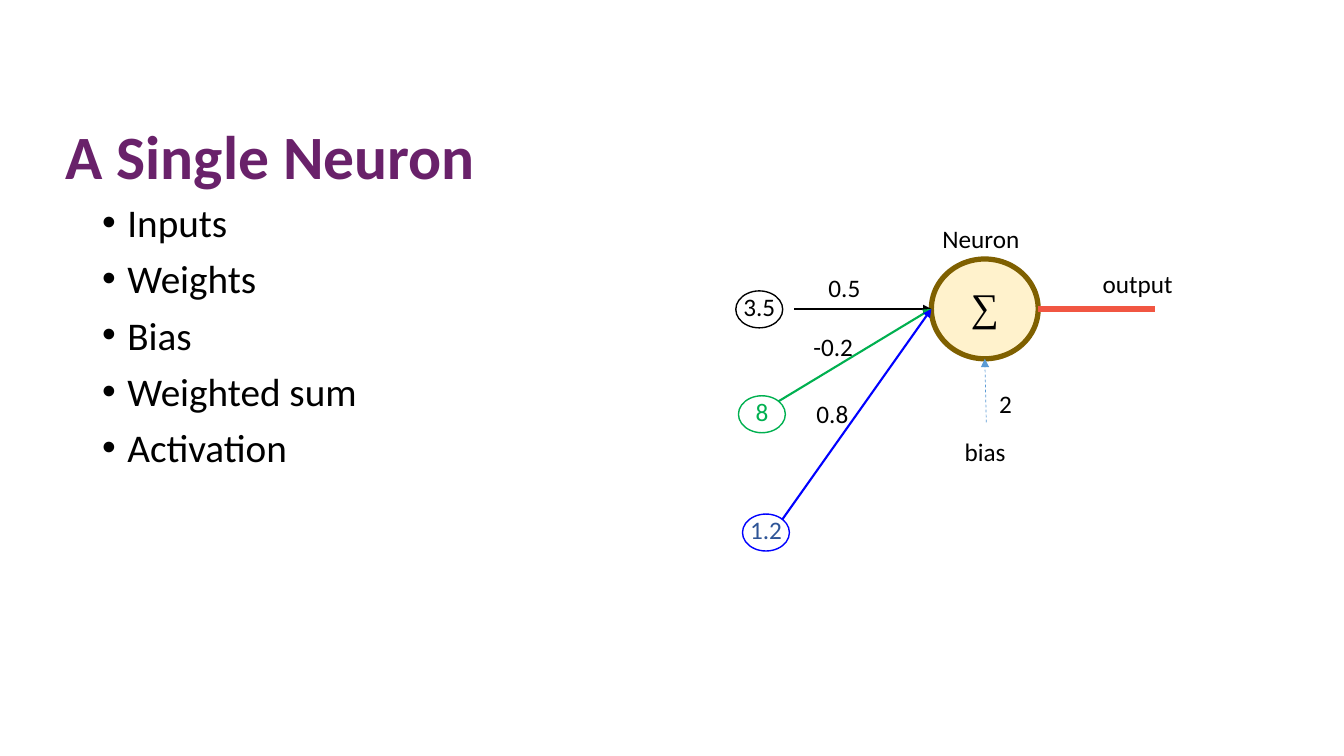
from typing import NamedTuple

from lxml import etree
from pptx import Presentation
from pptx.dml.color import RGBColor
from pptx.enum.dml import MSO_LINE
from pptx.enum.shapes import MSO_CONNECTOR, MSO_SHAPE
from pptx.enum.text import MSO_ANCHOR, MSO_AUTO_SIZE, PP_ALIGN
from pptx.oxml.ns import qn
from pptx.util import Pt

OVAL = MSO_SHAPE.OVAL
STRAIGHT = MSO_CONNECTOR.STRAIGHT
DASH = MSO_LINE.DASH
MIDDLE, TOP = MSO_ANCHOR.MIDDLE, MSO_ANCHOR.TOP
NO_FIT = MSO_AUTO_SIZE.NONE
LEFT, CENTER = PP_ALIGN.LEFT, PP_ALIGN.CENTER

BODY_FONT, SYMBOL_FONT = "Calibri", "Times New Roman"
BLACK, GREEN, BLUE, NAVY = "000000", "00B050", "0000FF", "2F5597"
PURPLE, CREAM, BROWN = "69216A", "FFF2CC", "7F6000"
SKY, CORAL = "5B9BD5", "F15642"


class Node(NamedTuple):
    text: str
    left: float
    top: float
    width: float
    height: float
    line: str
    weight: float = 1
    color: str = BLACK
    font: str = BODY_FONT
    size: float = 18
    fill: str | None = None


class Link(NamedTuple):
    start: tuple[float, float]
    end: tuple[float, float]
    color: str
    weight: float = 1.5
    arrow: bool = True
    dashed: bool = False


class Label(NamedTuple):
    text: str
    left: float
    top: float
    width: float


NEURON = Node("∑", 665.3, 185, 76.3, 71.3, BROWN, 3.75, BLACK, SYMBOL_FONT, 28, CREAM)
NEURON_X = NEURON.left + NEURON.width / 2
NEURON_Y = NEURON.top + NEURON.height / 2
NEURON_RIGHT = NEURON.left + NEURON.width
NEURON_IN = (NEURON.left, NEURON_Y)

NODES = [
    NEURON,
    Node("3.5", 525.6, 207.8, 33.5, 26.4, BLACK),
    Node("8", 527.5, 282.7, 33.5, 26.4, GREEN, color=GREEN),
    Node("1.2", 530.4, 367.2, 33.5, 26.4, BLUE, color=NAVY),
]
LINKS = [
    Link((567.4, NEURON_Y), NEURON_IN, BLACK),
    Link((556.2, 286.6), NEURON_IN, GREEN),
    Link((558.7, 371.2), NEURON_IN, BLUE),
    Link((704.5, 301.7), (NEURON_X, NEURON.top + NEURON.height), SKY, 0.5, dashed=True),
    Link((NEURON_RIGHT, NEURON_Y), (825, NEURON_Y), CORAL, 4.25, arrow=False),
]
LABELS = [
    Label("Neuron", 673.2, 159.8, 57),
    Label("0.5", 591.8, 194.4, 25),
    Label("-0.2", 581, 236.9, 31),
    Label("0.8", 583.2, 284.4, 25),
    Label("2", 713.7, 277.2, 10),
    Label("bias", 689, 311.4, 34),
    Label("output", 787.7, 191.5, 52),
]
CONCEPTS = ["Inputs", "Weights", "Bias", "Weighted sum", "Activation"]


def rgb(value: str) -> RGBColor:
    return RGBColor.from_string(value)


def add_text(paragraph, text: str, size: float, color: str,
             font: str = BODY_FONT, bold: bool = False) -> None:
    run = paragraph.add_run()
    run.text = text
    run.font.name = font
    run.font.size = Pt(size)
    run.font.bold = bold
    run.font.color.rgb = rgb(color)


def prepare_frame(frame, anchor, wrap: bool, bottom: float = 0) -> None:
    frame.auto_size = NO_FIT
    frame.word_wrap = wrap
    frame.vertical_anchor = anchor
    frame.margin_left = frame.margin_top = frame.margin_right = Pt(0)
    frame.margin_bottom = Pt(bottom)


def place(shape, left: float, top: float, width: float, height: float) -> None:
    shape.left, shape.top = Pt(left), Pt(top)
    shape.width, shape.height = Pt(width), Pt(height)


def write_title(title) -> None:
    place(title, 46.8, 80.6, 828, 59.8)
    prepare_frame(title.text_frame, MIDDLE, True)
    heading = title.text_frame.paragraphs[0]
    heading.alignment = LEFT
    add_text(heading, "A Single Neuron", 44, PURPLE, bold=True)


def write_concepts(body) -> None:
    place(body, 72, 141.8, 200, 205)
    frame = body.text_frame
    prepare_frame(frame, TOP, True)
    for index, concept in enumerate(CONCEPTS):
        item = frame.add_paragraph() if index else frame.paragraphs[0]
        item.space_before = Pt(6.5 if index else 0)
        properties = item._p.get_or_add_pPr()
        properties.set("marL", str(Pt(19)))
        properties.set("indent", str(Pt(-18)))
        etree.SubElement(properties, qn("a:buChar"), char="•")
        add_text(item, concept, 28, BLACK)


def draw_node(shapes, node: Node) -> None:
    oval = shapes.add_shape(OVAL, Pt(node.left), Pt(node.top),
                            Pt(node.width), Pt(node.height))
    oval.shadow.inherit = False
    if node.fill:
        oval.fill.solid()
        oval.fill.fore_color.rgb = rgb(node.fill)
    else:
        oval.fill.background()
    oval.line.color.rgb = rgb(node.line)
    oval.line.width = Pt(node.weight)
    prepare_frame(oval.text_frame, MIDDLE, False, bottom=4)
    value = oval.text_frame.paragraphs[0]
    value.alignment = CENTER
    add_text(value, node.text, node.size, node.color, node.font)


def draw_link(shapes, link: Link) -> None:
    connector = shapes.add_connector(STRAIGHT, *map(Pt, link.start + link.end))
    connector.line.color.rgb = rgb(link.color)
    connector.line.width = Pt(link.weight)
    if link.dashed:
        connector.line.dash_style = DASH
    if link.arrow:
        etree.SubElement(connector.line._get_or_add_ln(), qn("a:tailEnd"), type="triangle")
    etree.SubElement(connector._element.spPr, qn("a:effectLst"))


def draw_label(shapes, label: Label) -> None:
    box = shapes.add_textbox(Pt(label.left), Pt(label.top), Pt(label.width), Pt(22))
    prepare_frame(box.text_frame, TOP, False)
    add_text(box.text_frame.paragraphs[0], label.text, 18, BLACK)


def main() -> None:
    deck = Presentation()
    deck.slide_width, deck.slide_height = Pt(960), Pt(540)
    slide = deck.slides.add_slide(deck.slide_layouts[1])
    write_title(slide.shapes.title)
    write_concepts(slide.placeholders[1])
    for node in NODES:
        draw_node(slide.shapes, node)
    for link in LINKS:
        draw_link(slide.shapes, link)
    for label in LABELS:
        draw_label(slide.shapes, label)
    deck.save("out.pptx")


if __name__ == "__main__":
    main()
